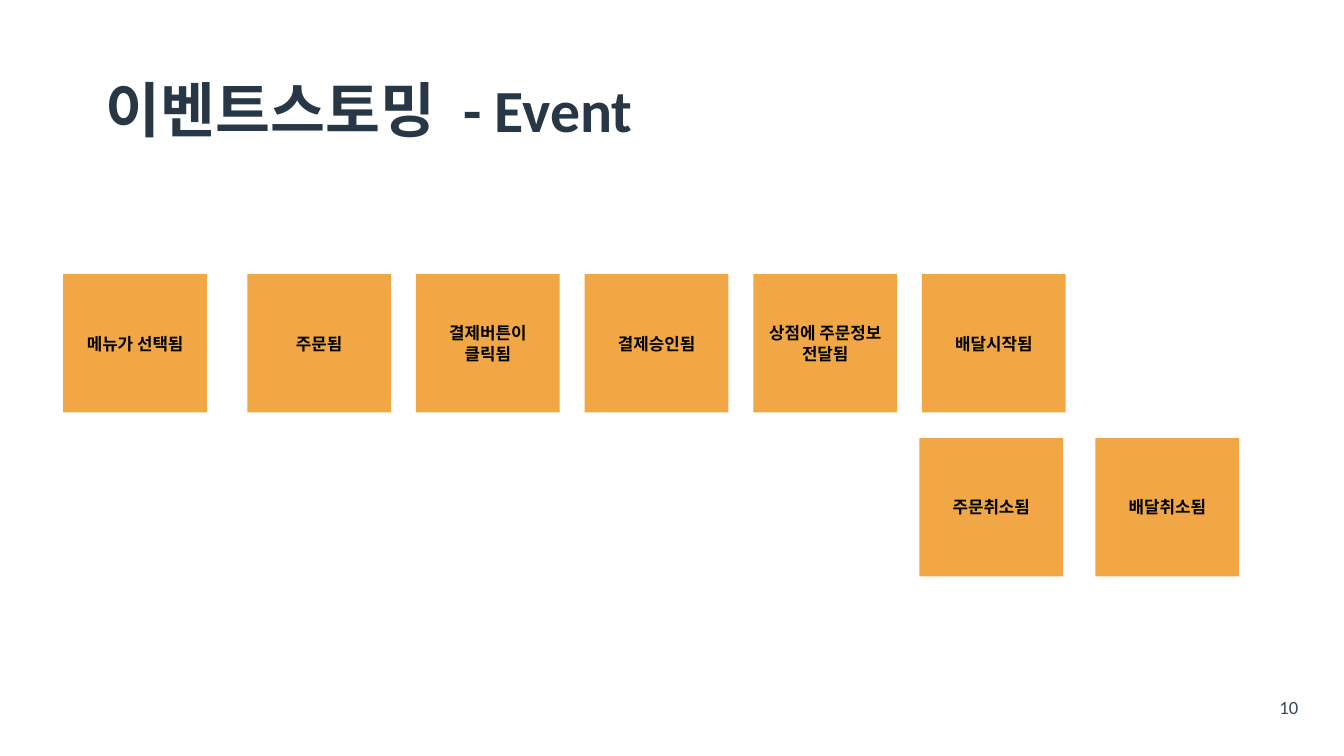
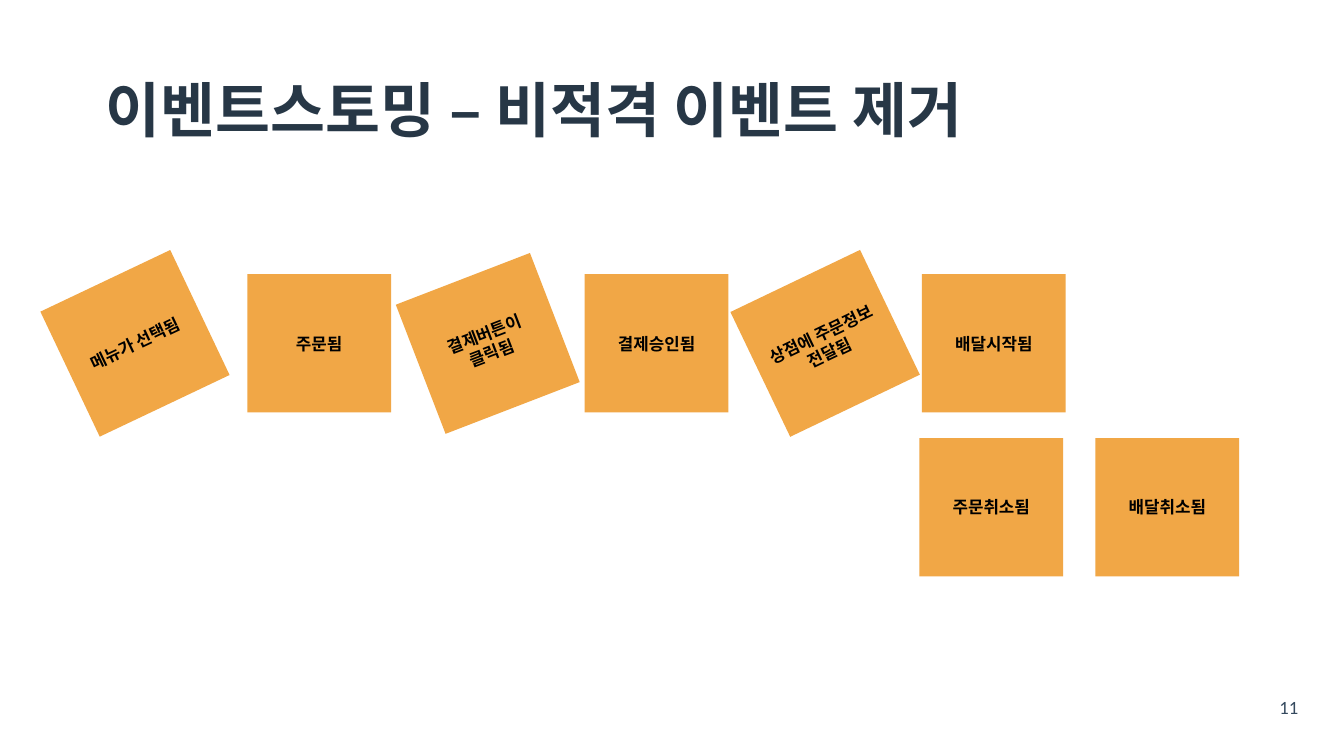
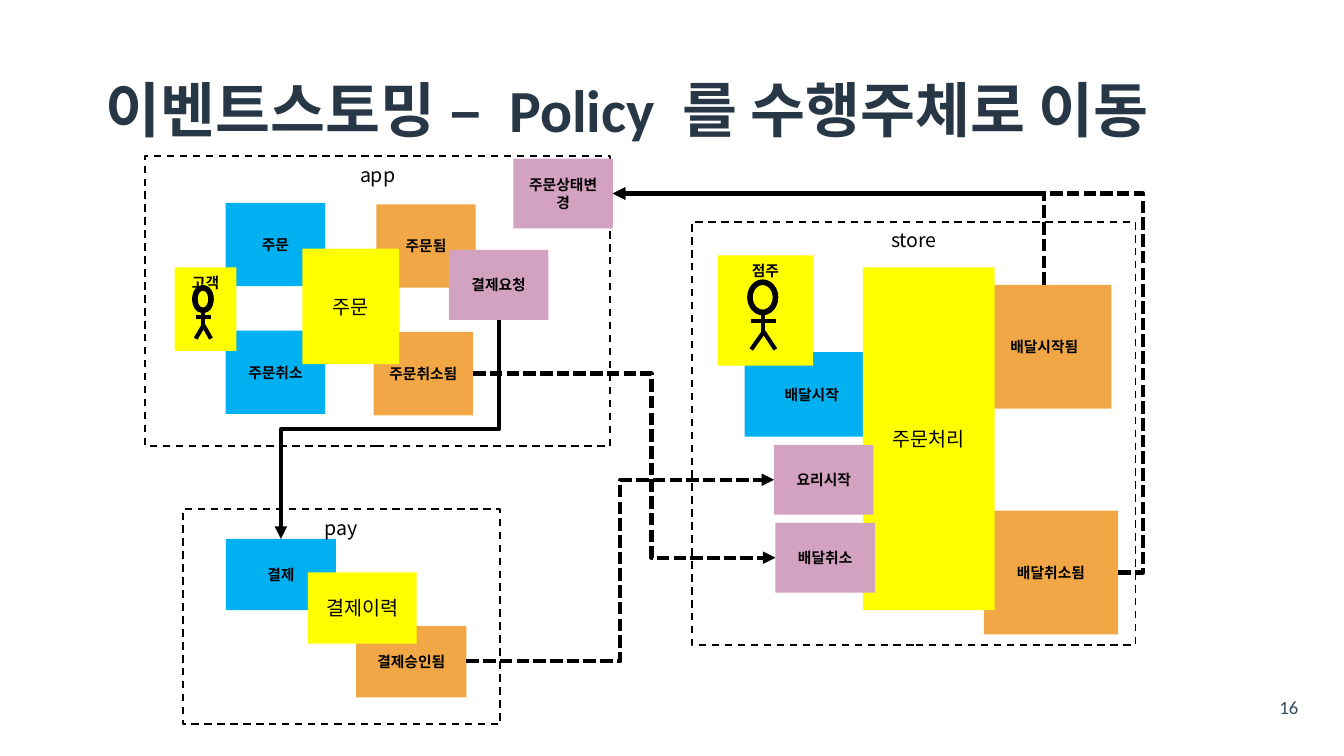
from dataclasses import dataclass

from lxml.etree import SubElement
from pptx import Presentation
from pptx.dml.color import RGBColor
from pptx.enum.dml import MSO_LINE
from pptx.enum.shapes import MSO_CONNECTOR, MSO_SHAPE
from pptx.enum.text import MSO_ANCHOR, PP_ALIGN
from pptx.oxml.ns import qn
from pptx.util import Inches, Pt

# Shared look; every length is in grid cells, 100 columns across the slide
COLS, ROWS = 100, 56.25
CELL = Inches(10) / COLS
HEX = {
    "title": "273746", "page": "34495E", "ink": "000000", "event": "F1A746",
    "command": "00B0F0", "data": "FFFF00", "policy": "D4A2C1",
}
LATIN, KOREAN = "Calibri", "Noto Sans CJK KR"
WIDE = " "  # a title part that is a space is drawn at double width


@dataclass
class Note:
    text: str
    kind: str
    x: float
    y: float
    w: float
    h: float
    size: float = 7.9
    bold: bool = True
    top: bool = False
    turn: float = 0


@dataclass
class Actor:
    x: float
    y: float
    w: float
    h: float


@dataclass
class Route:
    start: tuple[float, float]
    end: tuple[float, float]
    bend: float | None = 0.5  # None gives a single corner
    upright: bool = False
    dashed: bool = True


def cell(*vals: float) -> list[int]:
    return [round(val * CELL) for val in vals]


def color(name: str) -> RGBColor:
    return RGBColor.from_string(HEX[name])


def style(run, size: float, name: str, face: str, bold: bool = False) -> None:
    font = run.font
    font.size, font.bold, font.name = Pt(size), bold, face
    font.color.rgb = color(name)
    SubElement(run._r.get_or_add_rPr(), qn("a:ea"), typeface=KOREAN)


def stroke(item, width: float) -> None:
    item.line.color.rgb = color("ink")
    item.line.width = Pt(width)


# Page frame
def add_title(slide, parts: tuple[str, ...], width: float) -> None:
    box = slide.shapes.add_textbox(*cell(6.9, 3, width, 10.9))
    frame = box.text_frame
    frame.word_wrap, frame.vertical_anchor = True, MSO_ANCHOR.MIDDLE
    para = frame.paragraphs[0]
    para.line_spacing = 0.9
    for part in parts:
        run = para.add_run()
        run.text = part
        style(run, 32, "title", LATIN, True)
        if part == WIDE:
            run._r.get_or_add_rPr().set("spc", "720")


def add_page(slide, page: int) -> None:
    frame = slide.shapes.add_textbox(*cell(93.1, 52.1, 5.6, 2.6)).text_frame
    frame.word_wrap = True
    frame.margin_left = frame.margin_right = Inches(0.15)
    frame.margin_top = frame.margin_bottom = Inches(0.07)
    para = frame.paragraphs[0]
    para.text = str(page)
    para.alignment, para.line_spacing = PP_ALIGN.CENTER, 0.5
    style(para.runs[0], 10, "page", LATIN)


def add_slide(deck, page: int, parts: tuple[str, ...], width: float = 86.2):
    slide = deck.slides.add_slide(deck.slide_layouts[6])
    add_page(slide, page)
    add_title(slide, parts, width)
    return slide


# Parts of the board
def add_note(slide, note: Note) -> None:
    box = slide.shapes.add_shape(
        MSO_SHAPE.RECTANGLE, *cell(note.x, note.y, note.w, note.h))
    box.shadow.inherit = False
    box.rotation = note.turn
    if note.kind == "frame":
        box.fill.background()
        stroke(box, 1)
        box.line.dash_style = MSO_LINE.DASH
    else:
        box.fill.solid()
        box.fill.fore_color.rgb = color(note.kind)
        box.line.fill.background()
    frame = box.text_frame
    frame.word_wrap = True
    frame.vertical_anchor = MSO_ANCHOR.TOP if note.top else MSO_ANCHOR.MIDDLE
    para = frame.paragraphs[0]
    para.text = note.text
    para.alignment = PP_ALIGN.CENTER
    style(para.runs[0], note.size, "ink", KOREAN, note.bold)


def add_link(slide, kind, start, end):
    link = slide.shapes.add_connector(kind, *cell(*start, *end))
    stroke(link, 2.25)
    SubElement(link._element.spPr, qn("a:effectLst"))
    return link


def add_actor(slide, actor: Actor) -> None:
    head = slide.shapes.add_shape(
        MSO_SHAPE.OVAL, *cell(actor.x, actor.y, actor.w, actor.h * 0.45))
    head.shadow.inherit = False
    head.fill.background()
    stroke(head, 3)
    # arms, body and legs as shares of the figure
    limbs = [(0.05, 0.58, 1.03, 0.58), (0.5, 0.45, 0.5, 0.79),
             (0.5, 0.76, 0.05, 1), (0.54, 0.74, 1, 1)]
    for a, b, c, d in limbs:
        add_link(slide, MSO_CONNECTOR.STRAIGHT,
                 (actor.x + a * actor.w, actor.y + b * actor.h),
                 (actor.x + c * actor.w, actor.y + d * actor.h))


def add_route(slide, route: Route) -> None:
    (x1, y1), (x2, y2) = start, end = route.start, route.end
    if route.upright:
        # lay the box on its side around the same centre
        mx, my = (x1 + x2) / 2, (y1 + y2) / 2
        dx, dy = abs(y2 - y1) / 2, abs(x2 - x1) / 2
        if (x2 > x1) == (y2 > y1):
            dy = -dy
        start, end = (mx - dx, my - dy), (mx + dx, my + dy)
    link = add_link(slide, MSO_CONNECTOR.ELBOW, start, end)
    props = link._element.spPr
    if route.upright:
        turn = 90 if y2 > y1 else 270
        props.find(qn("a:xfrm")).set("rot", str(turn * 60000))
    shape = props.find(qn("a:prstGeom"))
    if route.bend is None:
        shape.set("prst", "bentConnector2")
    else:
        SubElement(shape.find(qn("a:avLst")), qn("a:gd"), name="adj1",
                   fmla=f"val {round(route.bend * 100000)}")
    if route.dashed:
        link.line.dash_style = MSO_LINE.SQUARE_DOT
    SubElement(link.line._get_or_add_ln(), qn("a:tailEnd"), type="triangle")


# Event boards: one row of events, with the cancelled ones below
STEPS = ["주문됨", "결제버튼이 클릭됨", "결제승인됨", "상점에 주문정보 전달됨", "배달시작됨"]
SPOTS = [("메뉴가 선택됨", 4.7, 20.4)]
SPOTS += [(text, 18.4 + 12.55 * i, 20.4) for i, text in enumerate(STEPS)]
SPOTS += [("배달취소됨", 81.5, 32.6), ("주문취소됨", 68.4, 32.6)]
TILTS = {"메뉴가 선택됨": 334.6, "결제버튼이 클릭됨": 338.9, "상점에 주문정보 전달됨": 334.4}


def add_events(slide, tilts: dict[str, float]) -> None:
    for text, x, y in SPOTS:
        add_note(slide, Note(text, "event", x, y, 10.7, 10.3, 9,
                             turn=tilts.get(text, 0)))


# Policy board, from back to front
def large(text: str, kind: str, *area: float) -> Note:
    return Note(text, kind, *area, size=10.5, bold=False, top=kind == "frame")


SMALL, PAY, SHOP, RULE = (7.4, 6.2), (8.2, 5.3), (10, 9.2), (7.4, 5.2)
BOARD = [
    # app
    Note("주문됨", "event", 28, 15.2, *SMALL),
    Note("주문취소됨", "event", 27.8, 24.7, *SMALL),
    Note("주문", "command", 16.8, 15.1, *SMALL),
    Note("주문취소", "command", 16.8, 24.6, *SMALL),
    Note("고객", "data", 13, 19.9, 4.6, 6.2, top=True),
    Actor(14.5, 21.4, 1.2, 3.8),
    large("주문", "data", 22.5, 18.5, 7.2, 8.6),
    large("app", "frame", 10.8, 11.6, 34.6, 21.6),
    # pay
    Note("결제승인됨", "event", 26.5, 46.6, *PAY),
    Note("결제", "command", 16.8, 40.1, *PAY),
    large("결제이력", "data", 22.9, 42.6, 8.1, 5.3),
    large("pay", "frame", 13.6, 37.9, 23.6, 16),
    # store
    Note("배달시작됨", "event", 72.7, 21.2, *SHOP),
    Note("배달취소됨", "event", 73.2, 38, *SHOP),
    Note("배달시작", "command", 55.4, 26.2, 10, 6.3),
    Note("점주", "data", 53.4, 19, 7.1, 8.2, top=True),
    Actor(55.8, 21, 1.9, 5),
    large("주문처리", "data", 64.2, 19.9, 9.8, 25.5),
    large("store", "frame", 51.5, 16.5, 33, 31.5),
    # policies
    Note("결제요청", "policy", 33.4, 18.6, *RULE),
    Note("요리시작", "policy", 57.6, 33.1, *RULE),
    Note("배달취소", "policy", 57.7, 38.9, *RULE),
    Note("주문상태변경", "policy", 38.2, 11.8, *RULE),
    # flow
    Route((37.1, 23.8), (20.9, 40.1), upright=True, dashed=False),
    Route((77.7, 21.2), (45.6, 14.4), bend=None, upright=True),
    Route((83.2, 42.6), (45.6, 14.4), bend=-0.05),
    Route((34.7, 49.2), (57.6, 35.7)),
    Route((35.2, 27.8), (57.7, 41.5), bend=0.59),
]
DRAW = {Note: add_note, Actor: add_actor, Route: add_route}


def main() -> None:
    deck = Presentation()
    deck.slide_width, deck.slide_height = cell(COLS, ROWS)
    add_events(add_slide(deck, 10, ("이벤트스토밍", WIDE, "- Event")), {})
    add_events(add_slide(deck, 11, ("이벤트스토밍 – 비적격 이벤트 제거",)), TILTS)
    parts = ("이벤트스토밍 –", WIDE, "Policy", WIDE, "를 수행주체로 이동")
    board = add_slide(deck, 16, parts, 89.1)
    for item in BOARD:
        DRAW[type(item)](board, item)
    deck.save("out.pptx")


if __name__ == "__main__":
    main()
